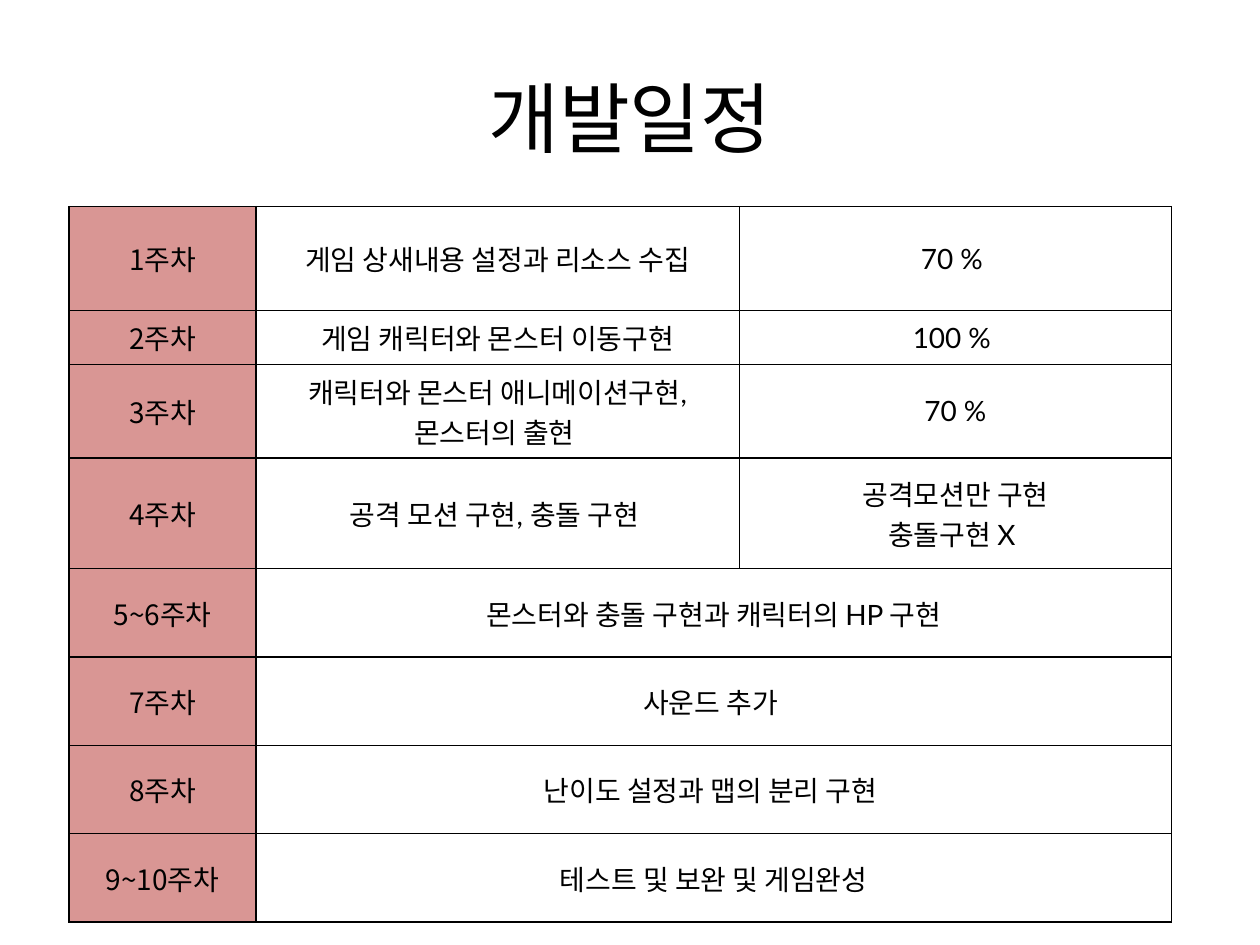
from pptx import Presentation
from pptx.dml.color import RGBColor
from pptx.enum.text import MSO_ANCHOR, PP_ALIGN
from pptx.oxml.ns import qn
from pptx.util import Pt
from lxml import etree

MIDDLE = MSO_ANCHOR.MIDDLE
CENTER = PP_ALIGN.CENTER
COLORS = {"ink": "000000", "week": "D99694", "plain": "FFFFFF"}
HANGUL = "Noto Sans CJK KR"
LATIN = "Lato"


class Deck:
    def __init__(self, wide, high):
        self.prs = Presentation()
        self.prs.slide_width, self.prs.slide_height = Pt(wide), Pt(high)
        self.slide = self.prs.slides.add_slide(self.prs.slide_layouts[6])

    def color(self, name):
        return RGBColor.from_string(COLORS[name])

    def label(self, frame, text, size, face):
        frame.text = text
        for para in frame.paragraphs:
            para.alignment = CENTER
            for run in para.runs:
                for key, value in {"size": Pt(size), "name": face, "bold": False}.items():
                    setattr(run.font, key, value)
                run.font.color.rgb = self.color("ink")
                east = etree.SubElement(run._r.get_or_add_rPr(), qn("a:ea"))
                east.set("typeface", HANGUL)

    def title(self, text, left, top, wide, high):
        box = self.slide.shapes.add_textbox(Pt(left), Pt(top), Pt(wide), Pt(high))
        frame = box.text_frame
        for key, value in {"word_wrap": True, "vertical_anchor": MIDDLE}.items():
            setattr(frame, key, value)
        self.label(frame, text, 44, HANGUL)

    def border(self, cell):
        props = cell._tc.get_or_add_tcPr()
        for spot, side in enumerate(("lnL", "lnR", "lnT", "lnB")):
            line = etree.Element(qn("a:" + side), w=str(Pt(1)))
            fill = etree.SubElement(line, qn("a:solidFill"))
            etree.SubElement(fill, qn("a:srgbClr"), val=COLORS["ink"])
            props.insert(spot, line)

    def table(self, rows, left, top, widths, heights):
        grid = self.slide.shapes.add_table(
            len(rows), len(widths), Pt(left), Pt(top), Pt(sum(widths)), Pt(sum(heights))
        ).table
        for key, value in {"first_row": False, "horz_banding": False}.items():
            setattr(grid, key, value)
        for col, wide in zip(grid.columns, widths):
            col.width = Pt(wide)
        for row, high in zip(grid.rows, heights):
            row.height = Pt(high)
        for r, texts in enumerate(rows):
            for c in range(len(widths)):
                cell = grid.cell(r, c)
                cell.vertical_anchor = MIDDLE
                cell.fill.solid()
                cell.fill.fore_color.rgb = self.color("plain" if c else "week")
                self.border(cell)
                if c < len(texts):
                    self.label(cell.text_frame, texts[c], 16, LATIN if c else HANGUL)
            if len(texts) < len(widths):
                grid.cell(r, len(texts) - 1).merge(grid.cell(r, len(widths) - 1))


PLAN = [
    ("1주차", "게임 상새내용 설정과 리소스 수집", "70 % "),
    ("2주차", "게임 캐릭터와 몬스터 이동구현", "100 % "),
    ("3주차", "캐릭터와 몬스터 애니메이션구현, 몬스터의 출현 ", "70 %"),
    ("4주차", "공격 모션 구현, 충돌 구현 ", "공격모션만 구현\n충돌구현 X "),
    ("5~6주차", "몬스터와 충돌 구현과 캐릭터의 HP 구현"),
    ("7주차", "사운드 추가 "),
    ("8주차", "난이도 설정과 맵의 분리 구현 "),
    ("9~10주차", "테스트 및 보완 및 게임완성"),
]

deck = Deck(720, 540)
deck.title("개발일정", 36, 21.6, 648, 90)
deck.table(PLAN, 39.5, 118, [106.7, 276.3, 247], [59.5, 30.8, 53.3, 63.4] + [50.5] * 4)
deck.prs.save("out.pptx")
